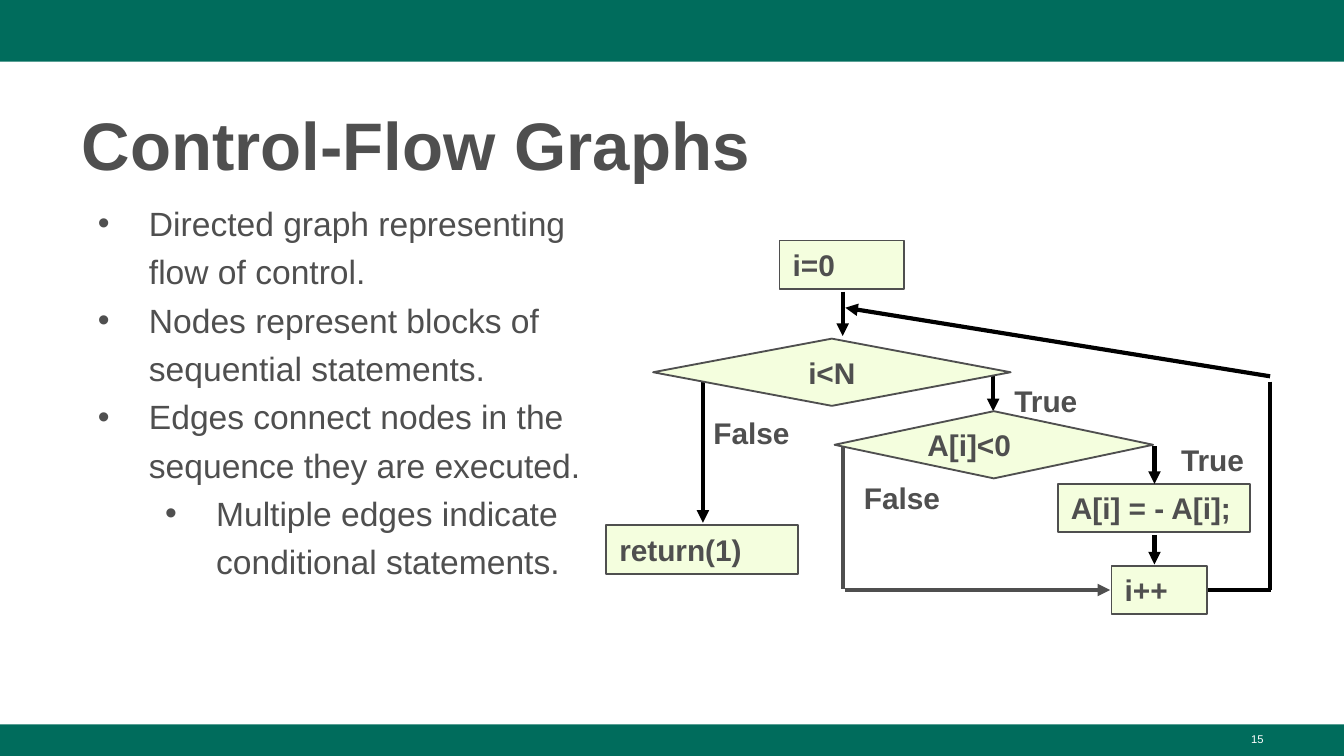
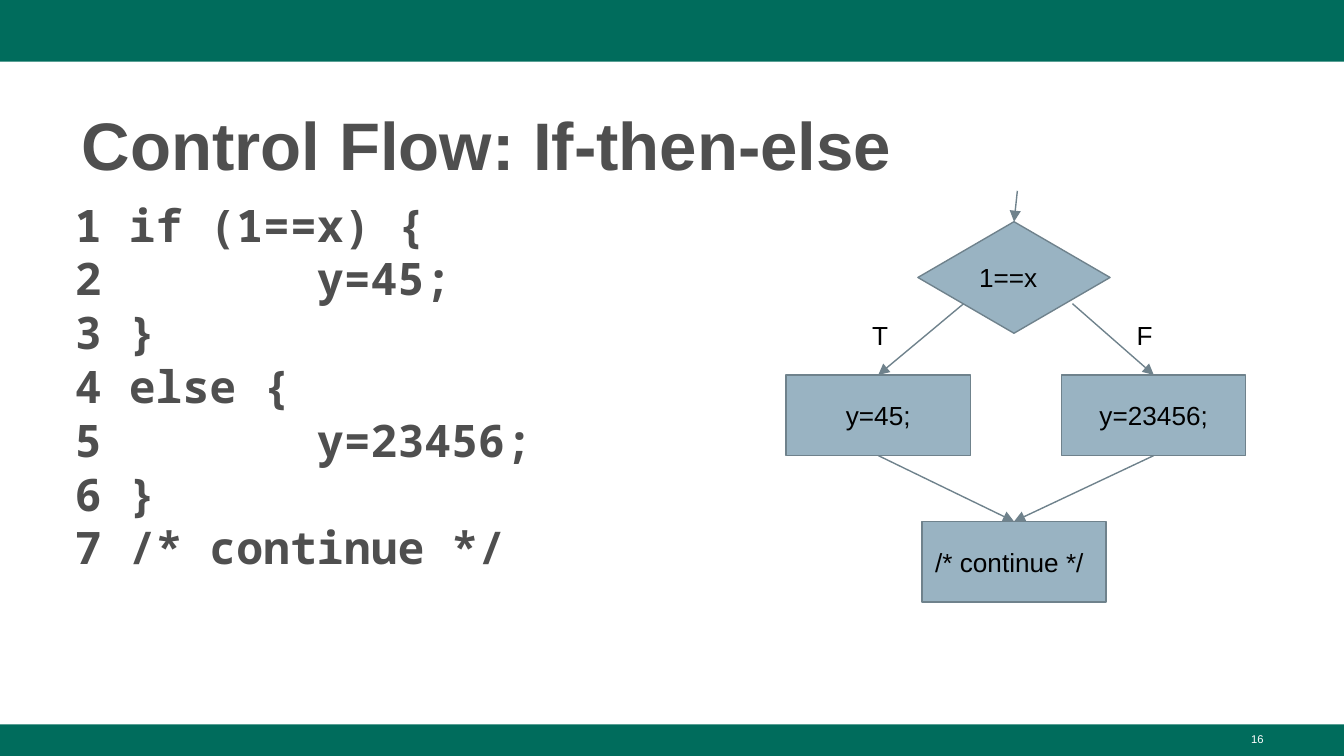
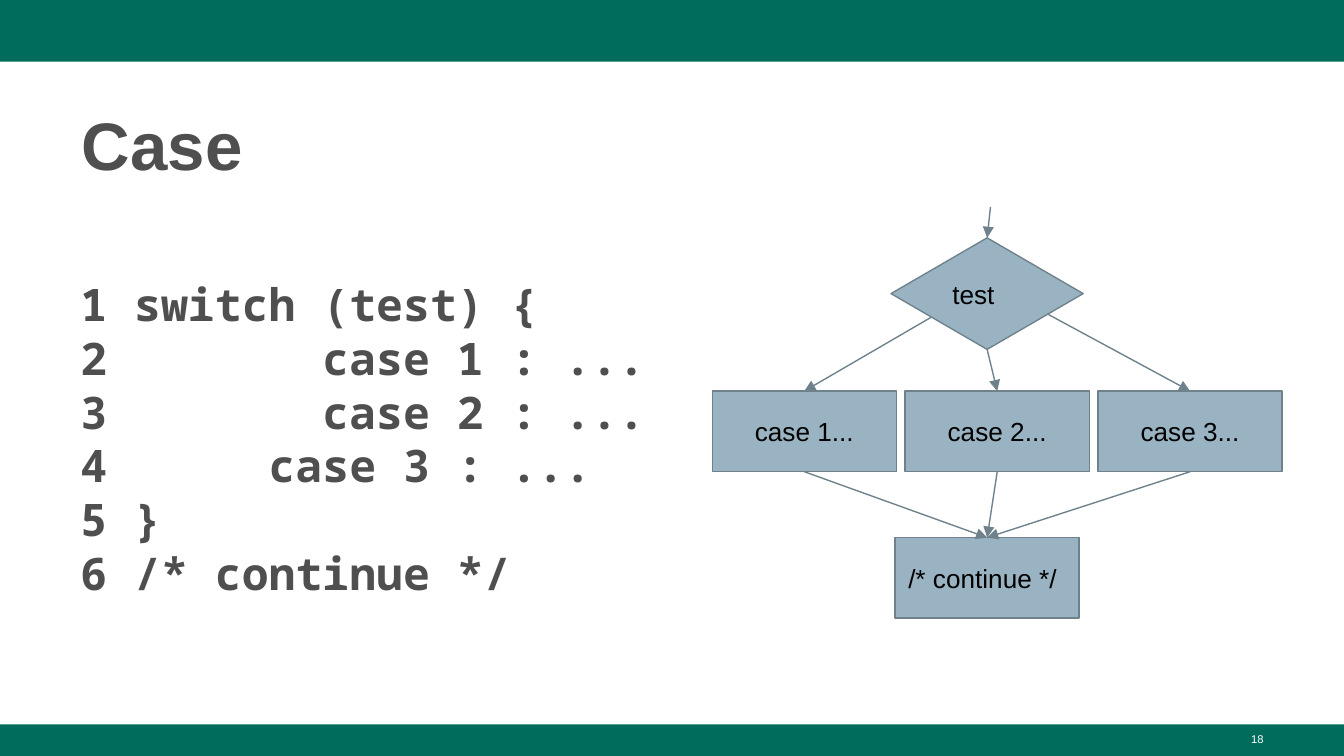
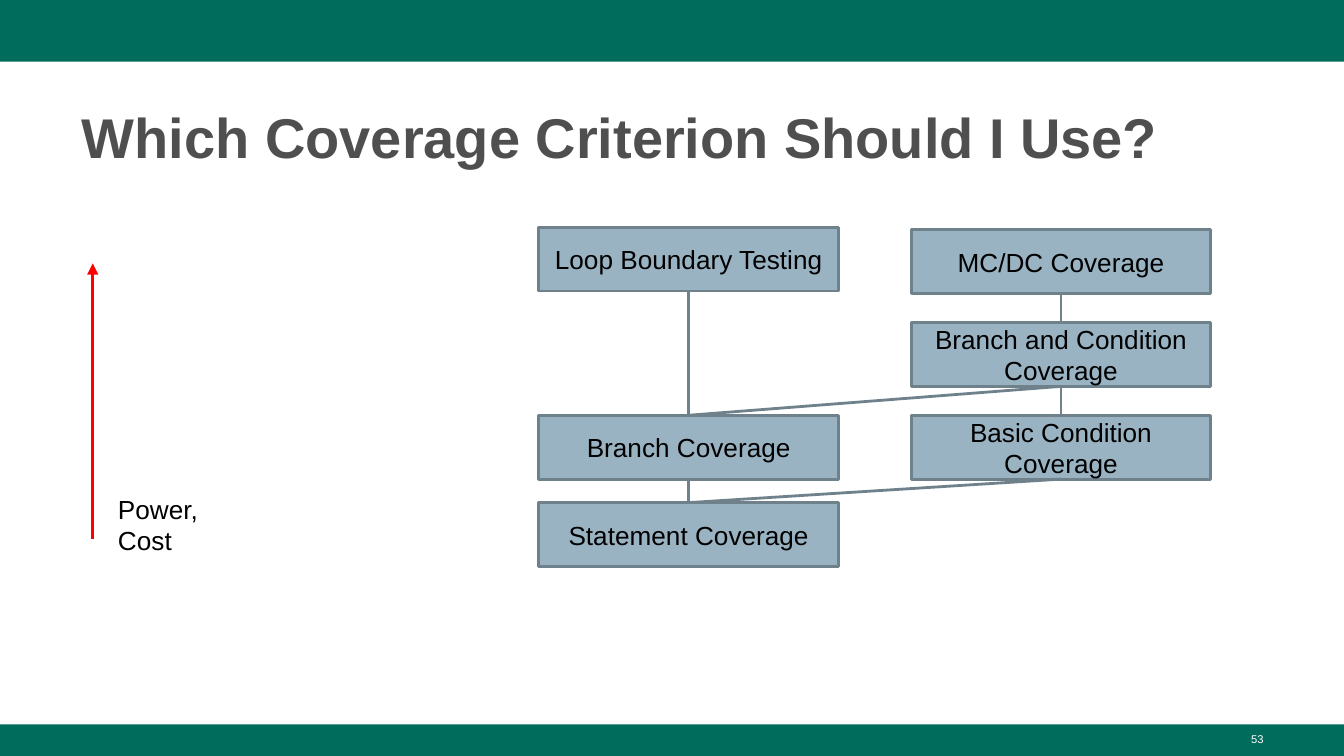
from dataclasses import dataclass

from lxml.etree import SubElement
from pptx import Presentation
from pptx.dml.color import RGBColor
from pptx.enum.shapes import MSO_CONNECTOR, MSO_SHAPE
from pptx.enum.text import MSO_ANCHOR, MSO_AUTO_SIZE, PP_ALIGN
from pptx.oxml.ns import qn
from pptx.util import Inches, Pt

COLUMNS, ROWS = 100, 56.25
TOP, BOTTOM = 0, 2


@dataclass(frozen=True)
class Theme:
    """Colours, fonts and type sizes of the deck."""
    band: str = "006C5C"
    ink: str = "4F4F4F"
    black: str = "000000"
    white: str = "FFFFFF"
    red: str = "FF0000"
    pale: str = "F4FEDE"
    steel: str = "99B3C2"
    steel_edge: str = "6F828C"
    sans: str = "Arial"
    mono: str = "Noto Sans Mono"
    title: int = 36
    long_title: int = 30
    code: int = 24
    body: int = 18
    graph: int = 16
    chart: int = 14
    number: int = 6


THEME = Theme()


@dataclass(frozen=True)
class NodeStyle:
    """Look of the nodes and labels in one kind of diagram."""
    fill: str
    edge: str
    edge_width: float
    text: str
    size: int
    bold: bool
    inset: float


GRAPH = NodeStyle(THEME.pale, THEME.ink, 1, THEME.ink, THEME.graph, True, 0.5)
FLOW = NodeStyle(THEME.steel, THEME.steel_edge, 0.75, THEME.black, THEME.chart, False, 1)
LADDER = NodeStyle(THEME.steel, THEME.steel_edge, 1.5, THEME.black, THEME.chart, False, 1)


def cells(*counts):
    """Convert counts of grid cells to lengths."""
    return [Inches(count * 10 / COLUMNS) for count in counts]


def set_font(paragraph, size, color, bold=False, face=THEME.sans):
    """Set the font of a whole paragraph."""
    font = paragraph.font
    font.name, font.size, font.bold = face, Pt(size), bold
    font.color.rgb = RGBColor.from_string(color)


def set_frame(frame, anchor=MSO_ANCHOR.TOP, inset=0.5):
    """Wrap a text frame and set its anchor and vertical insets."""
    frame.word_wrap = True
    frame.auto_size = MSO_AUTO_SIZE.NONE
    frame.vertical_anchor = anchor
    frame.margin_left, frame.margin_right = cells(1, 1)
    frame.margin_top, frame.margin_bottom = cells(inset, inset)


def add_paragraphs(frame, count):
    """Return the first paragraph and as many more as are needed."""
    return [frame.paragraphs[0]] + [frame.add_paragraph() for _ in range(count - 1)]


def add_text(slide, box, text, size, color, bold=False, align=PP_ALIGN.LEFT, inset=0.5):
    """Add one line or wrapped paragraph of text."""
    frame = slide.shapes.add_textbox(*cells(*box)).text_frame
    set_frame(frame, inset=inset)
    paragraph = frame.paragraphs[0]
    paragraph.text, paragraph.alignment = text, align
    set_font(paragraph, size, color, bold)


def add_label(slide, box, text, style):
    """Add a label beside an edge of a diagram."""
    add_text(slide, box, text, style.size, style.text, style.bold, inset=style.inset)


def add_box(slide, box, fill, kind=MSO_SHAPE.RECTANGLE):
    """Add a flat filled shape without an outline."""
    shape = slide.shapes.add_shape(kind, *cells(*box))
    shape.shadow.inherit = False
    shape.fill.solid()
    shape.fill.fore_color.rgb = RGBColor.from_string(fill)
    shape.line.fill.background()
    return shape


def add_node(slide, box, text, style, align=PP_ALIGN.LEFT, kind=MSO_SHAPE.RECTANGLE):
    """Add a diagram node with its text."""
    node = add_box(slide, box, style.fill, kind)
    node.line.color.rgb = RGBColor.from_string(style.edge)
    node.line.width = Pt(style.edge_width)
    set_frame(node.text_frame, MSO_ANCHOR.MIDDLE, style.inset)
    paragraph = node.text_frame.paragraphs[0]
    paragraph.text, paragraph.alignment = text, align
    set_font(paragraph, style.size, style.text, style.bold)
    return node


def add_edge(slide, color, width, points=(0, 0, 0, 0), start=None, end=None, arrow=True):
    """Draw an edge between points, or between node sites where given."""
    edge = slide.shapes.add_connector(MSO_CONNECTOR.STRAIGHT, *cells(*points))
    if start:
        edge.begin_connect(*start)
    if end:
        edge.end_connect(*end)
    edge.line.color.rgb = RGBColor.from_string(color)
    edge.line.width = Pt(width)
    properties = edge.element.spPr
    if arrow:
        SubElement(properties.find(qn("a:ln")), qn("a:tailEnd"), type="triangle")
    SubElement(properties, qn("a:effectLst"))


def add_bands(slide):
    """Put the top and bottom bands on the layout of the slide."""
    backdrop = slide.slide_layout.shapes.element
    for box in ((0, 0, COLUMNS, 4.6), (0, 53.9, COLUMNS, ROWS - 53.9)):
        backdrop.insert(2, add_box(slide, box, THEME.band).element)


def add_slide(deck, title, number, size=THEME.title):
    """Add a slide with its title and slide number."""
    slide = deck.slides.add_slide(deck.slide_layouts[5])
    heading = slide.shapes.title
    heading.left, heading.top, heading.width, heading.height = cells(5.1, 6.7, 89.9, 7.3)
    set_frame(heading.text_frame)
    paragraph = heading.text_frame.paragraphs[0]
    paragraph.text, paragraph.alignment = title, PP_ALIGN.LEFT
    paragraph.line_spacing = 1.08
    set_font(paragraph, size, THEME.ink, True)
    add_text(slide, (71.7, 54, 23.3, 2.3), str(number), THEME.number, THEME.white,
             align=PP_ALIGN.RIGHT)
    return slide


def add_bullets(slide, box, points):
    """Add bulleted points, each given as level and text."""
    frame = slide.shapes.add_textbox(*cells(*box)).text_frame
    set_frame(frame)
    for paragraph, (level, text) in zip(add_paragraphs(frame, len(points)), points):
        paragraph.text, paragraph.level, paragraph.line_spacing = text, level, 1.2
        properties = paragraph._p.get_or_add_pPr()
        properties.set("marL", str(Inches(0.5 * (level + 1))))
        properties.set("indent", str(Inches(-0.38)))
        SubElement(properties, qn("a:buFont"), typeface=THEME.sans)
        SubElement(properties, qn("a:buChar"), char="•")
        set_font(paragraph, THEME.body, THEME.ink)


def add_code(slide, box, lines):
    """Add code lines, each given as text and tab stop in cells."""
    frame = slide.shapes.add_textbox(*cells(*box)).text_frame
    set_frame(frame)
    for paragraph, (text, stop) in zip(add_paragraphs(frame, len(lines)), lines):
        paragraph.text = text
        if stop:
            stops = SubElement(paragraph._p.get_or_add_pPr(), qn("a:tabLst"))
            SubElement(stops, qn("a:tab"), pos=str(cells(stop)[0]), algn="l")
        set_font(paragraph, THEME.code, THEME.ink, True, THEME.mono)


def add_branching(slide, left, top, test, branches):
    """Draw a decision whose branches, as text, left and exit, join again."""
    width, height = 13.7, 6
    decision = add_node(slide, (left, top, 14.3, 8.3), test, FLOW, kind=MSO_SHAPE.DIAMOND)
    join = add_node(slide, (left + 0.3, top + 22.3, width, height), "/* continue */", FLOW)
    line = (FLOW.edge, FLOW.edge_width)
    add_edge(slide, *line, (left + 7.4, top - 2.3, 0, 0), end=(decision, TOP))
    for text, branch_left, departure in branches:
        branch = add_node(slide, (branch_left, top + 11.4, width, height), text, FLOW,
                          PP_ALIGN.CENTER)
        if departure:
            add_edge(slide, *line, (*departure, 0, 0), end=(branch, TOP))
        else:
            add_edge(slide, *line, start=(decision, BOTTOM), end=(branch, TOP))
        add_edge(slide, *line, start=(branch, BOTTOM), end=(join, TOP))


def build_graphs(deck):
    """Build the slide on control-flow graphs."""
    slide = add_slide(deck, "Control-Flow Graphs", 15)
    add_bands(slide)
    add_bullets(slide, (5.1, 14, 40.8, 38.1), [
        (0, "Directed graph representing flow of control."),
        (0, "Nodes represent blocks of sequential statements."),
        (0, "Edges connect nodes in the sequence they are executed."),
        (1, "Multiple edges indicate conditional statements."),
    ])
    for points in ((73.9, 27.7, 73.9, 30.6), (52.3, 27.7, 52.3, 38.9)):
        add_edge(slide, THEME.black, 2.25, points)
    for box, text in (
        ((58, 17.9, 9.3, 3.6), "i=0"),
        ((78.7, 36, 14.3, 3.6), "A[i] = - A[i];"),
        ((45.1, 39.1, 14.3, 3.6), "return(1)"),
        ((82.7, 42.1, 7.1, 3.6), "i++"),
    ):
        add_node(slide, box, text, GRAPH)
    add_node(slide, (48.6, 25.2, 26.6, 5), "i<N", GRAPH, PP_ALIGN.CENTER, MSO_SHAPE.DIAMOND)
    add_node(slide, (62.1, 30.6, 23.7, 5), "A[i]<0", GRAPH, kind=MSO_SHAPE.DIAMOND)
    for color, arrow, points in (
        (THEME.black, True, (62.7, 21.7, 62.7, 25)),
        (THEME.black, True, (85.9, 33.2, 85.9, 36)),
        (THEME.black, True, (85.9, 39.8, 85.9, 42)),
        (THEME.black, False, (89.9, 43.9, 94.6, 43.9)),
        (THEME.black, False, (94.5, 28.4, 94.5, 43.9)),
        (THEME.black, True, (94.5, 28, 62.9, 22.9)),
        (THEME.ink, False, (62.7, 33.2, 62.7, 43.8)),
        (THEME.ink, True, (62.9, 43.9, 82.6, 43.9)),
    ):
        add_edge(slide, color, 2.25, points, arrow=arrow)
    for left, top, text in ((74.5, 28, "True"), (52.1, 30.4, "False"),
                            (86.9, 32.4, "True"), (63.3, 35.2, "False")):
        add_label(slide, (left, top, 9.3, 2.7), text, GRAPH)


def build_if(deck):
    """Build the slide on if-then-else."""
    slide = add_slide(deck, "Control Flow: If-then-else", 16)
    add_code(slide, (4.6, 14.2, 49.4, 31.4), [
        ("1 if (1==x) {", None),
        ("2\ty=45;", 18),
        ("3 }", None),
        ("4 else {", None),
        ("5\ty=23456;", 18),
        ("6 }", None),
        ("7 /* continue */", None),
    ])
    add_branching(slide, 68.3, 16.5, "1==x", [
        ("y=45;", 58.5, (71.7, 22.6)),
        ("y=23456;", 79, (79.8, 22.6)),
    ])
    for left, text in ((63.9, "T"), (83.6, "F")):
        add_label(slide, (left, 22.8, 4.4, 2.2), text, FLOW)


def build_case(deck):
    """Build the slide on the case statement."""
    slide = add_slide(deck, "Case", 18)
    add_code(slide, (5, 20.1, 49.8, 24.7), [
        ("1 switch (test) {", None),
        ("2\tcase 1 : ...", 18),
        ("3\tcase 2 : ...", 18),
        ("4\tcase 3 : ...", 14),
        ("5 }", None),
        ("6 /* continue */", None),
    ])
    departures = ((69.3, 23.6), None, (78, 23.4))
    add_branching(slide, 66.3, 17.7, "test", [
        (f"case {index + 1}...", 53 + 14.35 * index, departure)
        for index, departure in enumerate(departures)
    ])


def build_coverage(deck):
    """Build the slide that ranks coverage criteria."""
    slide = add_slide(deck, "Which Coverage Criterion Should I Use?", 53, THEME.long_title)
    left, right = 40.1, 67.8
    loop, branch, statement, mcdc, combined, condition = (
        add_node(slide, (column, row, 22.3, 4.75), text, LADDER, PP_ALIGN.CENTER)
        for column, row, text in (
            (left, 16.9, "Loop Boundary Testing"),
            (left, 30.9, "Branch Coverage"),
            (left, 37.4, "Statement Coverage"),
            (right, 17.1, "MC/DC Coverage"),
            (right, 24, "Branch and Condition Coverage"),
            (right, 30.9, "Basic Condition Coverage"),
        )
    )
    for stronger, weaker in ((loop, branch), (branch, statement), (mcdc, combined),
                             (combined, condition), (combined, branch),
                             (condition, statement)):
        add_edge(slide, LADDER.edge, LADDER.edge_width, start=(stronger, BOTTOM),
                 end=(weaker, TOP), arrow=False)
    add_edge(slide, THEME.red, 1.5, (6.9, 40.1, 6.9, 19.6))
    add_label(slide, (7.8, 35.7, 11.6, 3.1), "Power, Cost", LADDER)


def main():
    """Build and save the deck."""
    deck = Presentation()
    deck.slide_width, deck.slide_height = cells(COLUMNS, ROWS)
    for build in (build_graphs, build_if, build_case, build_coverage):
        build(deck)
    deck.save("out.pptx")


main()
